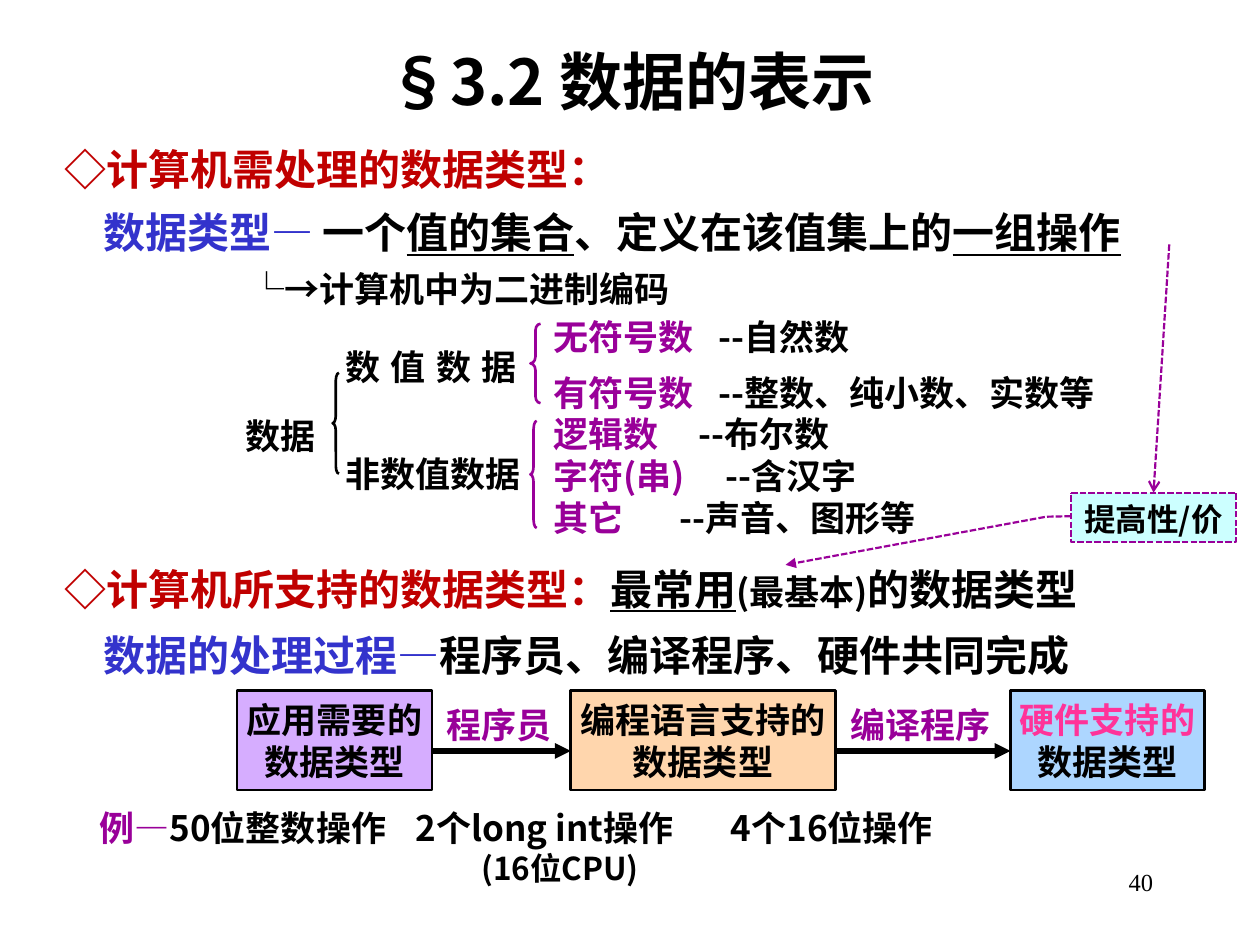
import lxml.etree
import pptx
import pptx.dml.color
import pptx.enum.dml
import pptx.enum.shapes
import pptx.enum.text
import pptx.oxml.ns
import pptx.util

Inches = pptx.util.Inches
Pt = pptx.util.Pt
RGB = pptx.dml.color.RGBColor
SHAPE = pptx.enum.shapes.MSO_SHAPE
ALIGN = pptx.enum.text.PP_ALIGN
qn = pptx.oxml.ns.qn

BLACK = RGB(0, 0, 0)
RED = RGB(0xC0, 0, 0)
BLUE = RGB(0x33, 0x33, 0xCC)
PURPLE = RGB(0x99, 0, 0x99)
PINK = RGB(0xFF, 0x33, 0x99)
LILAC = RGB(0xCC, 0x99, 0xFF)
PEACH = RGB(0xFF, 0xCC, 0x99)
SKY = RGB(0x99, 0xCC, 0xFF)
AQUA = RGB(0xCC, 0xFF, 0xFF)
SANS = "Noto Sans CJK SC"
SERIF = "Times New Roman"
UNDER = {"underline": True}


def child(parent, tag, **attributes):
    return lxml.etree.SubElement(parent, qn(tag), attributes)


def fill_para(para, spans, size, align=None, spacing=None, indent=0, tabs=(), face=SANS, bold=True):
    font = para.font
    font.size, font.name, font.bold = Pt(size), face, bold
    props = para._p.get_or_add_pPr()
    defaults = props.find(qn("a:defRPr"))
    child(defaults, "a:ea", typeface=face)
    if tabs:
        stops = lxml.etree.Element(qn("a:tabLst"))
        for stop in tabs:
            child(stops, "a:tab", pos=str(Inches(stop)), algn="l")
        defaults.addprevious(stops)
    if indent:
        props.set("marL", "0")
        props.set("indent", str(Inches(indent)))
    if align is not None:
        para.alignment = align
    if spacing:
        para.line_spacing = spacing
    if len({color for _, color, *_ in spans}) == 1:
        font.color.rgb = spans[0][1]
    for text, color, *changes in spans:
        span = para.add_run()
        span.text = text
        if font.color.type is None or font.color.rgb != color:
            span.font.color.rgb = color
        for name, value in (changes[0] if changes else {}).items():
            setattr(span.font, name, value)


def fill_frame(frame, paras, tight=True):
    frame.word_wrap = True
    if tight:
        frame.margin_left = frame.margin_right = Inches(0.02)
        frame.margin_top = frame.margin_bottom = Inches(0.01)
    for number, options in enumerate(paras):
        para = frame.add_paragraph() if number else frame.paragraphs[0]
        fill_para(para, **options)


def add_text(page, box, paras, tight=True):
    text_box = page.shapes.add_textbox(*map(Inches, box))
    fill_frame(text_box.text_frame, paras, tight)
    return text_box


def add_label(page, box, text, color=BLACK):
    return add_text(page, box, [dict(spans=[(text, color)], size=20)])


def add_shape(page, kind, box, color, width, fill=None, adjust=()):
    shape = page.shapes.add_shape(kind, *map(Inches, box))
    shape.shadow.inherit = False
    shape.line.color.rgb = color
    shape.line.width = Pt(width)
    if fill is None:
        shape.fill.background()
    else:
        shape.fill.solid()
        shape.fill.fore_color.rgb = fill
    for number, value in enumerate(adjust):
        shape.adjustments[number] = value
    return shape


def add_arrow(page, start, end, color, width, head="triangle"):
    ends = [Inches(value) for value in (*start, *end)]
    arrow = page.shapes.add_connector(pptx.enum.shapes.MSO_CONNECTOR.STRAIGHT, *ends)
    arrow.line.color.rgb = color
    arrow.line.width = Pt(width)
    child(arrow._element.spPr, "a:effectLst")
    add_head(arrow, head)
    return arrow


def add_head(shape, head):
    child(shape.line._get_or_add_ln(), "a:tailEnd", type=head)


def dash(shape):
    shape.line.dash_style = pptx.enum.dml.MSO_LINE.SQUARE_DOT
    shape.line._get_or_add_ln().find(qn("a:prstDash")).set("val", "sysDash")


def add_title(page, box):
    add_text(page, box, [dict(spans=[("§3.2 数据的表示", BLACK)], size=36, align=ALIGN.CENTER)], False)


def add_definition(page, box):
    add_text(page, box, [
        dict(spans=[("◇计算机需处理的数据类型：", RED)], size=24, spacing=1.25, indent=0.21),
        dict(spans=[("数据类型— ", BLUE), ("一个", BLACK), ("值的集合", BLACK, UNDER),
                    ("、定义在该值集上的", BLACK), ("一组操作", BLACK, UNDER)],
             size=24, spacing=1.25, indent=0.52),
        dict(spans=[("└", BLACK, {"bold": False}), ("→计算机中为二进制编码", BLACK)],
             size=20, spacing=1.25, indent=1.68),
    ], False)


def add_tree(page, left, top):
    def place(x, y, width, height):
        return left + x, top + y, width, height

    braces = [((2.28, 0.08, 0.08, 0.63), PURPLE, 0.66), ((2.28, 0.85, 0.05, 0.85), PURPLE, 1.26),
              ((0.71, 0.47, 0.05, 0.8), BLACK, 1.18)]
    for box, color, curve in braces:
        add_shape(page, SHAPE.LEFT_BRACE, place(*box), color, 1.5, adjust=(curve, 0.5))
    add_label(page, place(0, 0.79, 0.71, 0.31), "数据")
    numeric = add_label(page, place(0.79, 0.24, 1.51, 0.31), "数值数据")
    numeric.text_frame.paragraphs[0].runs[0].font._element.set("spc", "600")
    add_label(page, place(0.79, 1.09, 1.49, 0.32), "非数值数据")

    def row(name, meaning, tab, spacing=None):
        return dict(spans=[(name + "\t", PURPLE), ("--" + meaning, BLACK)], size=20, tabs=[tab], spacing=spacing)

    add_text(page, place(2.44, 0.77, 3.59, 1.09),
             [row("逻辑数", "布尔数", 1.15), row("字符(串)", "含汉字", 1.37), row("其它", "声音、图形等", 1)])
    add_text(page, place(2.44, 0, 4.65, 0.79),
             [row("无符号数", "自然数", 1.31), row("有符号数", "整数、纯小数、实数等", 1.31, 1.35)])


def add_support(page, left, top, width):
    add_text(page, (left, top, width, 0.54), [
        dict(spans=[("◇计算机所支持的数据类型：", RED), ("最常用", BLACK, UNDER),
                    ("(最基本)", BLACK, {"size": Pt(20)}), ("的数据类型", BLACK)],
             size=24, spacing=1.25, indent=0.21)], False)
    add_text(page, (left, top + 0.53, width, 0.61), [
        dict(spans=[("数据的处理过程—", BLUE), ("程序员、编译程序、硬件共同完成", BLACK)],
             size=24, spacing=1.25, indent=0.52)], False)


def add_flow(page, left, top):
    stages = [(0, 1.55, LILAC, "应用需要的", BLACK), (2.65, 2.1, PEACH, "编程语言支持的", BLACK),
              (6.14, 1.54, SKY, "硬件支持的", PINK)]
    for x, width, fill, text, color in stages:
        stage = add_shape(page, SHAPE.RECTANGLE, (left + x, top, width, 0.79), BLACK, 1.5, fill)
        child(stage._element.spPr.find(qn("a:solidFill"))[0], "a:alpha", val="80000")
        stage.text_frame.vertical_anchor = pptx.enum.text.MSO_ANCHOR.MIDDLE
        fill_frame(stage.text_frame, [dict(spans=[line], size=20, align=ALIGN.CENTER)
                                      for line in ((text, color), ("数据类型", BLACK))])
    labels = [(1.64, 0.94, "程序员"), (4.85, 1.18, "编译程序")]
    for before, after, (x, width, text) in zip(stages, stages[1:], labels):
        add_label(page, (left + x, top + 0.09, width, 0.32), text, PURPLE)
        add_arrow(page, (left + before[0] + before[1], top + 0.48), (left + after[0], top + 0.48), BLACK, 3)


def add_callout(page, box):
    left, top, width, _ = box
    callout = add_shape(page, SHAPE.LINE_CALLOUT_2, box, PURPLE, 1.25, AQUA,
                        (0.48, 0, 0.49, -0.15, 1.47, -1.73))
    dash(callout)
    add_head(callout, "triangle")
    callout.text_frame.vertical_anchor = pptx.enum.text.MSO_ANCHOR.MIDDLE
    fill_frame(callout.text_frame, [dict(spans=[("提高性/价", BLACK)], size=18, align=ALIGN.CENTER, spacing=1.1)])
    dash(add_arrow(page, (left + 0.78, top - 1.97), (left + width / 2, top), PURPLE, 1.25, "arrow"))


def add_example(page, box):
    add_text(page, box, [
        dict(spans=[("例—", PURPLE), ("50位整数操作\t2个long int操作\t4个16位操作", BLACK)],
             size=20, spacing=1.25, indent=0.49, tabs=[3.35, 6.3]),
        dict(spans=[("(16位CPU)", BLACK)], size=18, indent=3.52),
    ], False)


def add_page_number(page, box):
    add_text(page, box, [dict(spans=[("40", BLACK)], size=14, align=ALIGN.RIGHT, face=SERIF, bold=False)], False)


def main():
    deck = pptx.Presentation()
    deck.slide_width, deck.slide_height = Inches(10), Inches(7.5)
    page = deck.slides.add_slide(deck.slide_layouts[6])
    add_page_number(page, (7.17, 6.83, 2.08, 0.5))
    add_title(page, (0.92, 0.29, 8.17, 0.7))
    add_definition(page, (0.2, 0.99, 9.61, 1.53))
    add_tree(page, 1.93, 2.49)
    add_support(page, 0.2, 4.32, 9.61)
    add_flow(page, 1.88, 5.48)
    add_callout(page, (8.5, 3.91, 1.31, 0.39))
    add_example(page, (0.2, 6.27, 9.61, 0.82))
    deck.save("out.pptx")


if __name__ == "__main__":
    main()
